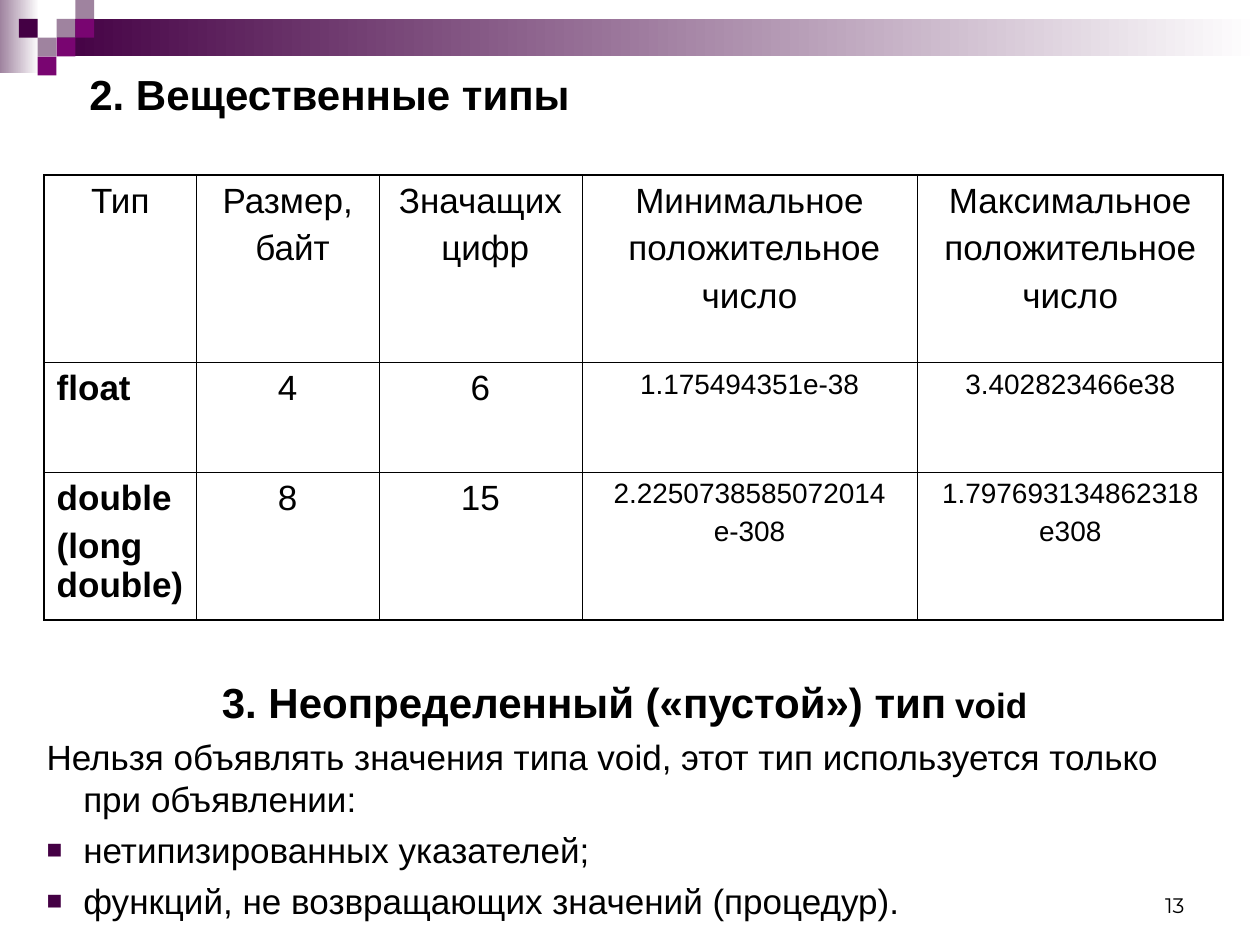
from lxml import etree
from pptx import Presentation
from pptx.dml.color import RGBColor
from pptx.enum.shapes import MSO_SHAPE
from pptx.enum.text import MSO_ANCHOR, PP_ALIGN
from pptx.oxml.ns import qn
from pptx.util import Cm, Pt

RECT = MSO_SHAPE.RECTANGLE
LEFT, MID, RIGHT = PP_ALIGN.LEFT, PP_ALIGN.CENTER, PP_ALIGN.RIGHT
HUES = {"ink": "000000", "paper": "FFFFFF", "dark": "440044",
        "plum": "790571", "mauve": "9F839F"}
ROWS = [
    ["Тип", "Размер,\n байт", "Значащих\n цифр",
     "Минимальное\n положительное\nчисло",
     "Максимальное\nположительное\nчисло"],
    ["float", "4", "6", "1.175494351е-38", "3.402823466е38"],
    ["double\n(long double)", "8", "15",
     "2.2250738585072014\nе-308", "1.797693134862318\ne308"],
]
WIDTHS = [3.07, 3.68, 4.09, 6.76, 6.17]
HEIGHTS = [3.78, 2.21, 2.97]
SQUARES = [(3, 1, "mauve"), (4, 0, "mauve"), (4, 1, "plum"), (2, 2, "mauve"),
           (1, 1, "dark"), (3, 2, "plum"), (2, 3, "plum")]


def rgb(hue):
    return RGBColor.from_string(HUES[hue])


def style(run, size, bold=False, face="Arial"):
    font = run.font
    font.name, font.size, font.bold = face, Pt(size), bold
    font.color.rgb = rgb("ink")


def add(parent, tag, **attrs):
    return etree.SubElement(parent, qn(tag), attrs)


def block(slide, left, top, width, height):
    box = [Cm(n) for n in (left, top, width, height)]
    shape = slide.shapes.add_shape(RECT, *box)
    shape.shadow.inherit = False
    shape.line.fill.background()
    return shape


def fade(shape, hue):
    """Fill the shape with a gradient from hue on the left to white."""
    fill = shape.fill
    fill.gradient()
    fill.gradient_angle = 0
    for stop, name in zip(fill.gradient_stops, (hue, "paper")):
        stop.color.rgb = rgb(name)


def banner(slide, left, top, width):
    """Draw the fading band and the squares, set on a grid of one unit."""
    unit = 0.38
    fade(block(slide, left, top, 0.79, 1.47), "mauve")
    start = 3 * unit
    fade(block(slide, left + start, top + unit, width - start, 2 * unit), "dark")
    for col, row, hue in SQUARES:
        tile = block(slide, left + col * unit, top + row * unit, unit, unit)
        tile.fill.solid()
        tile.fill.fore_color.rgb = rgb(hue)


def heading(slide, left, top, width, height):
    title = slide.shapes.title
    title.left, title.top = Cm(left), Cm(top)
    title.width, title.height = Cm(width), Cm(height)
    frame = title.text_frame
    frame.text = "2. Вещественные типы"
    frame.vertical_anchor = MSO_ANCHOR.MIDDLE
    frame.margin_left = Cm(0.53)
    para = frame.paragraphs[0]
    para.alignment = LEFT
    style(para.runs[0], 24, True)


def frame_cell(cell, row, col):
    """Draw the cell borders, thicker along the outside of the table."""
    props = cell._tc.get_or_add_tcPr()
    outer = {"a:lnL": col == 0, "a:lnR": col == len(WIDTHS) - 1,
             "a:lnT": row == 0, "a:lnB": row == len(HEIGHTS) - 1}
    for tag, thick in outer.items():
        line = add(props, tag, w=str(Pt(1.08 if thick else 0.45)))
        add(add(line, "a:solidFill"), "a:srgbClr", val=HUES["ink"])


def fill_cell(cell, text, row, col):
    frame_cell(cell, row, col)
    cell.fill.background()
    cell.text_frame.text = text
    small = row > 0 and col > 2
    name = row > 0 and col == 0
    for para in cell.text_frame.paragraphs:
        para.alignment = LEFT if name else MID
        para.space_before = Pt(4 if small else 5)
        style(para.runs[0], 16 if small else 20, name)


def type_table(slide, left, top):
    size = Cm(sum(WIDTHS)), Cm(sum(HEIGHTS))
    table = slide.shapes.add_table(
        len(HEIGHTS), len(WIDTHS), Cm(left), Cm(top), *size).table
    table.first_row = table.horz_banding = False
    for col, width in zip(table.columns, WIDTHS):
        col.width = Cm(width)
    for r, (height, texts) in enumerate(zip(HEIGHTS, ROWS)):
        table.rows[r].height = Cm(height)
        for c, text in enumerate(texts):
            fill_cell(table.cell(r, c), text, r, c)


def text_box(slide, left, top, width, height):
    box = [Cm(n) for n in (left, top, width, height)]
    frame = slide.shapes.add_textbox(*box).text_frame
    frame.word_wrap = True
    return frame


def bullet(para):
    props = para._p.get_or_add_pPr()
    add(add(props, "a:buClr"), "a:srgbClr", val=HUES["dark"])
    add(props, "a:buSzPct", val="75000")
    add(props, "a:buFont", typeface="Arial")
    add(props, "a:buChar", char="■")


def void_notes(slide, left, top, width, height):
    frame = text_box(slide, left, top, width, height)
    frame.text = "\n".join([
        "3. Неопределенный («пустой») тип",
        "Нельзя объявлять значения типа void, этот тип используется только "
        "при объявлении:",
        "нетипизированных указателей;",
        "функций, не возвращающих значений (процедур).",
    ])
    head, *rest = frame.paragraphs
    for para in frame.paragraphs:
        props = para._p.get_or_add_pPr()
        props.set("marL", str(Cm(0.74)))
        props.set("indent", str(-Cm(0.74)))
    for para in rest:
        para.space_before = Pt(5)
        style(para.runs[0], 20)
    for para in rest[1:]:
        bullet(para)
    head.alignment = MID
    style(head.runs[0], 24, True)
    for text, size, bold in ((" ", 18, False), ("void ", 20, True)):
        run = head.add_run()
        run.text = text
        style(run, size, bold)
    frame.margin_top = Cm(0.3)


def page_number(slide, left, top, width, height):
    frame = text_box(slide, left, top, width, height)
    frame.text = "13"
    frame.vertical_anchor = MSO_ANCHOR.BOTTOM
    para = frame.paragraphs[0]
    para.alignment = RIGHT
    style(para.runs[0], 12, face="Montserrat")


def main():
    deck = Presentation()
    deck.slide_width, deck.slide_height = Cm(25.4), Cm(19.05)
    slide = deck.slides.add_slide(deck.slide_layouts[5])
    banner(slide, 0, 0, 25.4)
    page_number(slide, 18.21, 17.35, 5.92, 1.27)
    heading(slide, 1.27, 0.81, 23.04, 2.16)
    type_table(slide, 0.89, 3.53)
    void_notes(slide, 0.69, 13.34, 24, 5.41)
    deck.save("out.pptx")


if __name__ == "__main__":
    main()
